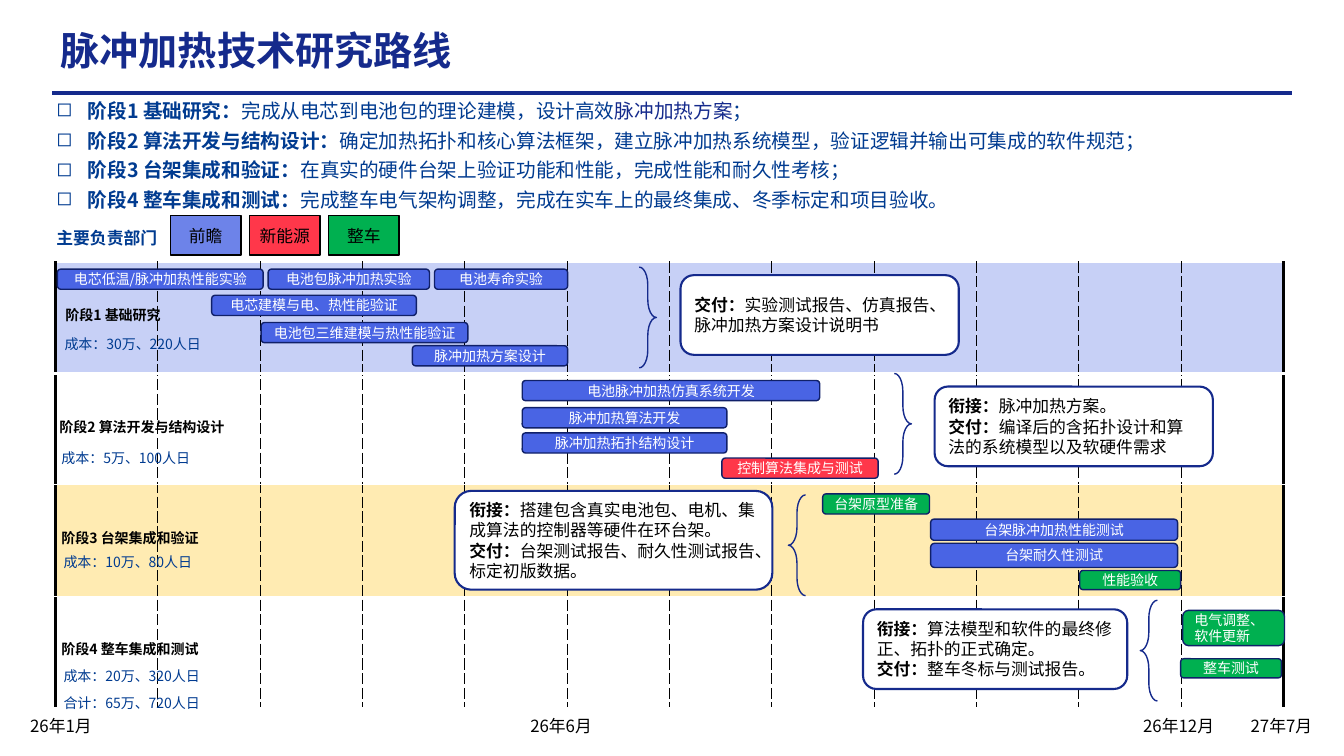
from dataclasses import dataclass
from lxml.etree import SubElement
from pptx import Presentation
from pptx.dml.color import RGBColor
from pptx.enum.shapes import MSO_CONNECTOR, MSO_SHAPE
from pptx.enum.text import MSO_ANCHOR, MSO_AUTO_SIZE, PP_ALIGN
from pptx.oxml.ns import qn
from pptx.util import Inches, Pt

FONT = "Noto Sans CJK SC"
COLORS = {
    "navy": "152A8C", "blue": "003B90", "outline": "102069", "black": "000000", "white": "FFFFFF",
    "前瞻": "4964E4", "新能源": "FF374A", "整车": "00B050", "lavender": "C2CBF6", "amber": "FFC000",
}


@dataclass
class Phase:
    """One lane; every position is an offset in inches from the lane's corner."""
    title: str
    title_left: float
    costs: list
    bars: list
    brace: tuple
    flipped: bool
    note: tuple
    note_lines: list
    band: tuple = None


PHASES = [
    Phase("阶段1 基础研究", 0.06, [(0.05, 0.64, "成本：30万、220人日")], [
        (0.02, 0.07, 2.04, 0.2, "前瞻", "电芯低温/脉冲加热性能实验"),
        (2.11, 0.07, 1.6, 0.2, "前瞻", "电池包脉冲加热实验"),
        (3.76, 0.07, 1.32, 0.2, "前瞻", "电池寿命实验"),
        (1.55, 0.33, 2.03, 0.2, "前瞻", "电芯建模与电、热性能验证"),
        (2.04, 0.6, 2.05, 0.2, "前瞻", "电池包三维建模与热性能验证"),
        (3.54, 0.83, 1.54, 0.2, "前瞻", "脉冲加热方案设计"),
    ], (5.79, 0.05), False, (6.2, 0.13, 2.76, 0.79),
        [("交付：", "实验测试报告、仿真报告、脉冲加热方案设计说明书")], ("lavender", 90)),
    Phase("阶段2 算法开发与结构设计", 0, [(0.02, 0.67, "成本：5万、100人日")], [
        (4.63, 0.07, 2.95, 0.2, "前瞻", "电池脉冲加热仿真系统开发"),
        (4.63, 0.34, 2.03, 0.2, "前瞻", "脉冲加热算法开发"),
        (4.63, 0.59, 2.03, 0.2, "前瞻", "脉冲加热拓扑结构设计"),
        (6.61, 0.84, 1.55, 0.2, "新能源", "控制算法集成与测试"),
    ], (8.32, 0), False, (8.72, 0.13, 2.76, 0.79),
        [("衔接：", "脉冲加热方案。"), ("交付：", "编译后的含拓扑设计和算法的系统模型以及软硬件需求")]),
    Phase("阶段3 台架集成和验证", 0.02, [(0.04, 0.59, "成本：10万、80人日")], [
        (7.61, 0.09, 1.06, 0.2, "整车", "台架原型准备"),
        (8.68, 0.34, 2.45, 0.21, "前瞻", "台架脉冲加热性能测试"),
        (8.68, 0.58, 2.45, 0.24, "前瞻", "台架耐久性测试"),
        (10.16, 0.85, 1, 0.19, "整车", "性能验收"),
    ], (7.27, 0.1), True, (3.96, 0.06, 3.15, 0.98),
        [("衔接：", "搭建包含真实电池包、电机、集成算法的控制器等硬件在环台架。"),
         ("交付：", "台架测试报告、耐久性测试报告、标定初版数据。")], ("amber", 30)),
    Phase("阶段4 整车集成和测试", 0.02,
          [(0.04, 0.62, "成本：20万、320人日"), (0.04, 0.89, "合计：65万、720人日")], [
              (11.18, 0.14, 1.01, 0.35, "整车", "电气调整、\n软件更新"),
              (11.16, 0.62, 1, 0.19, "整车", "整车测试"),
          ], (10.76, 0.04), True, (8.01, 0.13, 2.62, 0.79),
          [("衔接：", "算法模型和软件的最终修正、拓扑的正式确定。"), ("交付：", "整车冬标与测试报告。")]),
]
GOALS = [
    [("阶段1 基础研究：", True), ("完成从电芯到电池包的理论建模，设计高效", False),
     ("脉冲加热方案", False, "navy"), ("；", False)],
    [("阶段2 算法开发与结构设计：", True),
     ("确定加热拓扑和核心算法框架，建立脉冲加热系统模型，验证逻辑并输出可集成的软件规范；", False)],
    [("阶段3 台架集成和验证：", True), ("在真实的硬件台架上验证功能和性能，完成性能和耐久性考核；", False)],
    [("阶段4 整车集成和测试：", True),
     ("完成整车电气架构调整，完成在实车上的最终集成、冬季标定和项目验收。", False)],
]
DATES = [(0.22, 0.77, "26年1月"), (5.18, 0.77, "26年6月"), (11.24, 0.9, "26年12月"), (12.26, 0.9, "27年7月")]


def rgb(name):
    """Look up a named colour."""
    return RGBColor.from_string(COLORS[name])


def set_opacity(properties, percent):
    """Make the solid fill held by the properties element translucent."""
    SubElement(properties.find(qn("a:solidFill"))[0], qn("a:alpha"), val=str(percent * 1000))


def write(frame, paragraphs, size, color, align=PP_ALIGN.LEFT, inset=(0.04, 0.04), anchor=MSO_ANCHOR.MIDDLE):
    """Fill a text frame with paragraphs of (text, bold, colour) runs."""
    frame.word_wrap = True
    frame.auto_size = MSO_AUTO_SIZE.NONE
    frame.vertical_anchor = anchor
    frame.margin_left = frame.margin_right = Inches(inset[0])
    frame.margin_top = frame.margin_bottom = Inches(inset[1])
    for index, runs in enumerate(paragraphs):
        paragraph = frame.add_paragraph() if index else frame.paragraphs[0]
        paragraph.alignment = align
        for text, bold, *own_color in runs:
            run = paragraph.add_run()
            run.text = text
            run.font.size, run.font.bold, run.font.name = Pt(size), bold, FONT
            run.font.color.rgb = rgb(own_color[0] if own_color else color)
            SubElement(run._r.get_or_add_rPr(), qn("a:ea"), typeface=FONT)


def add_text(slide, box, paragraphs, size, color, **options):
    """Add a text box and return its frame."""
    frame = slide.shapes.add_textbox(*map(Inches, box)).text_frame
    write(frame, paragraphs, size, color, **options)
    return frame


def add_box(slide, kind, box, fill, line, width):
    """Add a preset shape without a shadow; no fill name leaves it hollow."""
    shape = slide.shapes.add_shape(kind, *map(Inches, box))
    shape.shadow.inherit = False
    if fill:
        shape.fill.solid()
        shape.fill.fore_color.rgb = rgb(fill)
    else:
        shape.fill.background()
    shape.line.color.rgb = rgb(line)
    shape.line.width = Pt(width)
    return shape


def add_title(slide, left, top, right):
    """Place the title above its rule."""
    title = slide.shapes.title
    title.left, title.top, title.width, title.height = map(Inches, (left, top, 10.08, 0.61))
    write(title.text_frame, [[("脉冲加热技术研究路线", True)]], 28, "navy", inset=(0.08, 0.04))
    rule_top = Inches(top + 0.73)
    rule = slide.shapes.add_connector(MSO_CONNECTOR.STRAIGHT, Inches(left), rule_top, Inches(right), rule_top)
    rule.line.color.rgb = rgb("navy")
    rule.line.width = Pt(3)
    SubElement(rule._element.spPr, qn("a:effectLst"))


def add_goals(slide, box):
    """List the goal of each phase with square bullets."""
    frame = add_text(slide, box, GOALS, 14, "blue", anchor=MSO_ANCHOR.TOP)
    for index, paragraph in enumerate(frame.paragraphs):
        paragraph.line_spacing = 0.9
        if index:
            paragraph.space_before = Pt(6)
        properties = paragraph._p.get_or_add_pPr()
        properties.set("marL", str(Inches(0.31)))
        properties.set("indent", str(-Inches(0.31)))
        SubElement(properties, qn("a:buChar"), char="◻")


def add_legend(slide, left, top):
    """Show the colour of each responsible department."""
    add_text(slide, (left, top, 1.17, 0.44), [[("主要负责部门", True)]], 12, "blue")
    for index, name in enumerate(("前瞻", "新能源", "整车")):
        key = add_box(slide, MSO_SHAPE.RECTANGLE, (left + 1.17 + 0.785 * index, top, 0.7, 0.39), name, "black", 1)
        if name == "前瞻":
            set_opacity(key._element.spPr, 80)
        write(key.text_frame, [[(name, False)]], 12, "black", align=PP_ALIGN.CENTER)


def add_border(properties, side, color, width, dash="solid"):
    """Draw one side of a table cell."""
    line = SubElement(properties, qn(f"a:ln{side}"), w=str(Pt(width)))
    SubElement(SubElement(line, qn("a:solidFill")), qn("a:srgbClr"), val=COLORS[color])
    SubElement(line, qn("a:prstDash"), val=dash)


def add_grid(slide, box, months=12):
    """Draw the month grid with one row per phase."""
    table = slide.shapes.add_table(len(PHASES), months, *map(Inches, box)).table
    table.first_row = table.horz_banding = False
    edge, dashed = ("black", 2.25), ("black", 1, "lgDash")
    for row, phase in enumerate(PHASES):
        for month in range(months):
            cell = table.cell(row, month)
            properties = cell._tc.get_or_add_tcPr()
            add_border(properties, "L", *(dashed if month else edge))
            add_border(properties, "R", *(dashed if month < months - 1 else edge))
            add_border(properties, "T", "white", 3 if row == 1 else 1)
            add_border(properties, "B", "white", 1 if row else 3)
            if phase.band:
                cell.fill.solid()
                cell.fill.fore_color.rgb = rgb(phase.band[0])
                set_opacity(properties, phase.band[1])
            else:
                cell.fill.background()


def add_lane(slide, left, top, phase):
    """Place the labels, task bars, brace and note of one phase."""
    add_text(slide, (left + phase.title_left, top + 0.15, 2.37, 0.75), [[(phase.title, True)]], 10, "black")
    for x, y, text in phase.costs:
        add_text(slide, (left + x, top + y, 2, 0.34), [[(text, False)]], 10, "blue")
    for x, y, width, height, department, text in phase.bars:
        bar = add_box(slide, MSO_SHAPE.ROUNDED_RECTANGLE, (left + x, top + y, width, height),
                      department, "outline", 1)
        lines = [[(line, False)] for line in text.split("\n")]
        single = len(lines) == 1
        write(bar.text_frame, lines, 10, "white", align=PP_ALIGN.CENTER if single else PP_ALIGN.LEFT,
              inset=(0.05 if single else 0.1, 0.05))
    brace = add_box(slide, MSO_SHAPE.RIGHT_BRACE, (left + phase.brace[0], top + phase.brace[1], 0.17, 1),
                    None, "navy", 1)
    brace.adjustments[0] = 1.045
    if phase.flipped:
        brace._element.spPr.find(qn("a:xfrm")).set("flipH", "1")
    x, y, width, height = phase.note
    note = add_box(slide, MSO_SHAPE.ROUNDED_RECTANGLE, (left + x, top + y, width, height), "white", "navy", 1.5)
    write(note.text_frame, [[(head, True), (body, False)] for head, body in phase.note_lines],
          12, "black", inset=(0.1, 0.05))


def add_roadmap(slide, left, top, width, height):
    """Build the grid, its lanes and the dates below it."""
    add_grid(slide, (left, top, width, height))
    for index, phase in enumerate(PHASES):
        add_lane(slide, left, top + index * height / len(PHASES), phase)
    for x, date_width, date in DATES:
        add_text(slide, (x, top + height + 0.04, date_width, 0.26), [[(date, False)]], 12, "black",
                 align=PP_ALIGN.CENTER, anchor=MSO_ANCHOR.TOP)


def main():
    """Build and save the slide."""
    presentation = Presentation()
    presentation.slide_width, presentation.slide_height = Inches(13.33), Inches(7.5)
    slide = presentation.slides.add_slide(presentation.slide_layouts[5])
    add_title(slide, 0.52, 0.19, 12.81)
    add_goals(slide, (0.52, 0.97, 12.33, 1.24))
    add_legend(slide, 0.52, 2.14)
    add_roadmap(slide, 0.55, 2.6, 12.18, 4.42)
    presentation.save("out.pptx")


if __name__ == "__main__":
    main()
